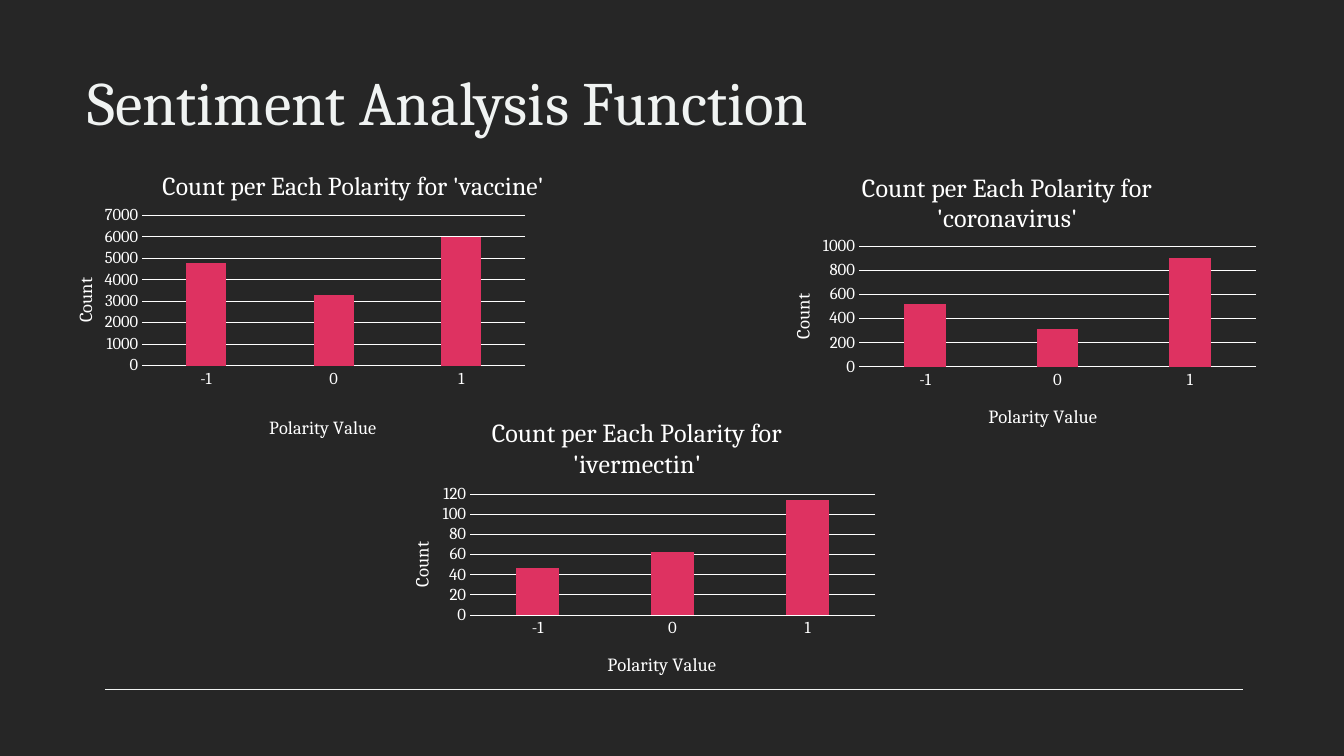
from dataclasses import dataclass

from lxml.etree import SubElement
from pptx import Presentation
from pptx.chart.data import CategoryChartData
from pptx.dml.color import RGBColor
from pptx.enum.chart import XL_CHART_TYPE, XL_TICK_MARK
from pptx.enum.shapes import MSO_CONNECTOR
from pptx.enum.text import MSO_ANCHOR
from pptx.oxml import parse_xml
from pptx.oxml.ns import nsdecls, qn
from pptx.util import Pt


@dataclass(frozen=True)
class Theme:
    face: str = "Cambria"
    back: RGBColor = RGBColor(0x26, 0x26, 0x26)
    pale: RGBColor = RGBColor(0xF0, 0xF3, 0xF2)
    white: RGBColor = RGBColor(0xFF, 0xFF, 0xFF)
    bar: RGBColor = RGBColor(0xDE, 0x32, 0x61)
    head: float = 44
    title: float = 18.6
    axis: float = 13.3
    tick: float = 12


@dataclass(frozen=True)
class Graph:
    word: str
    left: float
    top: float
    counts: tuple
    peak: int
    step: int
    plot: tuple      # left, top, width, height inside the chart
    title: tuple     # left, top of each label inside the chart
    value: tuple
    polar: tuple


THEME = Theme()
WIDE, HIGH = 360, 216
GRAPHS = (
    Graph("coronavirus", 544.3, 102.2, (520, 310, 900), 1000, 200,
          (69.3, 73.6, 283.6, 86.4), (68, 16), (18, 105), (159.3, 184)),
    Graph("vaccine", 32.4, 102.2, (4800, 3300, 6000), 7000, 1000,
          (70.4, 52.1, 278.6, 107.9), (81.8, 15), (18, 94), (160.4, 193.6)),
    Graph("ivermectin", 272.2, 279.4, (47, 63, 114), 120, 20,
          (63.6, 73.6, 289.3, 86.4), (75.7, 14), (18, 105), (159.3, 184)),
)


def style(font, size: float, color: RGBColor) -> None:
    font.name, font.size, font.bold = THEME.face, Pt(size), False
    font.color.rgb = color


def place(node, box: tuple, index: int, inner: bool = False) -> None:
    """Fix a chart part at a position given in points."""
    for old in node.findall(qn("c:layout")):
        node.remove(old)
    layout = parse_xml(f"<c:layout {nsdecls('c')}><c:manualLayout/></c:layout>")
    rules = [("layoutTarget", "inner")] if inner else []
    rules += [("xMode", "edge"), ("yMode", "edge")]
    rules += [(key, f"{part / full:.4f}") for key, part, full
              in zip("xywh", box, (WIDE, HIGH, WIDE, HIGH))]
    for key, val in rules:
        SubElement(layout[0], qn(f"c:{key}")).set("val", val)
    node.insert(index, layout)


def label(owner, text: str, size: float, spot: tuple, turn: bool = False) -> None:
    """Title a chart or an axis."""
    title = owner.chart_title if hasattr(owner, "chart_title") else owner.axis_title
    frame = title.text_frame
    frame.text = text
    style(frame.paragraphs[0].font, size, THEME.white)
    if turn:
        body = frame._txBody.find(qn("a:bodyPr"))
        body.set("rot", "-5400000")
        body.set("vert", "horz")
    place(title._element, spot, 1)


def draw(slide, graph: Graph) -> None:
    data = CategoryChartData()
    data.categories = ("-1", "0", "1")
    data.add_series("Series 1", graph.counts)
    chart = slide.shapes.add_chart(
        XL_CHART_TYPE.COLUMN_CLUSTERED, Pt(graph.left), Pt(graph.top),
        Pt(WIDE), Pt(HIGH), data).chart
    style(chart.font, THEME.tick, THEME.white)
    chart.has_legend = False

    # Bars
    bars = chart.plots[0]
    bars.gap_width, bars.overlap, bars.vary_by_categories = 219, -27, False
    fill = bars.series[0].format.fill
    fill.solid()
    fill.fore_color.rgb = THEME.bar

    # Axes and grid
    cat, val = chart.category_axis, chart.value_axis
    for axis in (cat, val):
        axis.major_tick_mark = axis.minor_tick_mark = XL_TICK_MARK.NONE
        style(axis.tick_labels.font, THEME.tick, THEME.white)
    val.minimum_scale, val.maximum_scale = 0, graph.peak
    val.major_unit = graph.step
    val.format.line.fill.background()
    for line in (cat.format.line, val.major_gridlines.format.line):
        line.color.rgb, line.width = THEME.white, Pt(0.75)

    # Labels and plot position
    label(chart, f"Count per Each Polarity for '{graph.word}'", THEME.title, graph.title)
    label(cat, "Polarity Value", THEME.axis, graph.polar)
    label(val, "Count", THEME.axis, graph.value, turn=True)
    place(chart._chartSpace.chart.plotArea, graph.plot, 0, inner=True)


def main() -> None:
    deck = Presentation()
    deck.slide_width, deck.slide_height = Pt(960), Pt(540)
    slide = deck.slides.add_slide(deck.slide_layouts[6])
    slide.background.fill.solid()
    slide.background.fill.fore_color.rgb = THEME.back

    # Bottom rule
    rule = slide.shapes.add_connector(
        MSO_CONNECTOR.STRAIGHT, Pt(75), Pt(492.3), Pt(888), Pt(492.3))
    rule.line.color.rgb, rule.line.width = THEME.pale, Pt(0.85)
    SubElement(rule._element.spPr, qn("a:effectLst"))

    # Heading
    frame = slide.shapes.add_textbox(Pt(55.4), Pt(16.6), Pt(820.8), Pt(85.7)).text_frame
    frame.word_wrap, frame.vertical_anchor = True, MSO_ANCHOR.BOTTOM
    frame.text = "Sentiment Analysis Function"
    style(frame.paragraphs[0].font, THEME.head, THEME.pale)

    # Charts
    for graph in GRAPHS:
        draw(slide, graph)
    deck.save("out.pptx")


if __name__ == "__main__":
    main()
